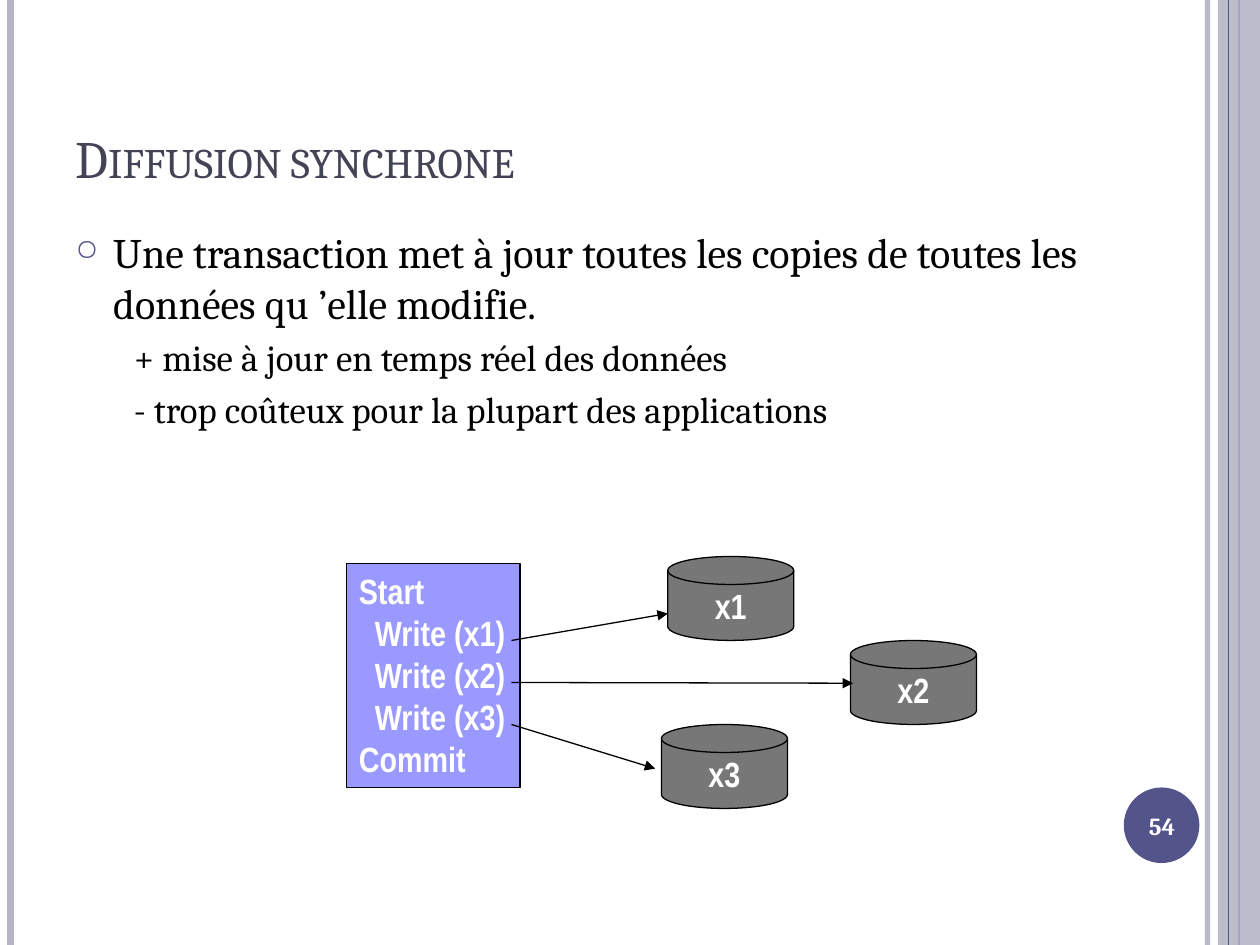
from lxml.etree import SubElement
from pptx import Presentation
from pptx.dml.color import RGBColor
from pptx.enum.shapes import MSO_CONNECTOR, MSO_SHAPE
from pptx.enum.text import MSO_ANCHOR as Anchor, PP_ALIGN as Align
from pptx.oxml.ns import qn
from pptx.util import Pt

THEME = {
    "serif": "Cambria", "sans": "Arial Narrow",
    "title": "424456", "text": "000000", "light": "FFFFFF",
    "accent": "53548A", "band": "B3B4C4", "code": "9999FF", "disk": "777777",
    "title_size": 30, "body_size": 24, "sub_size": 21, "label_size": 20, "number_size": 14,
}

# Content
TITLE = "Diffusion synchrone"
STATEMENT = "Une transaction met à jour toutes les copies de toutes les données qu ’elle modifie."
REMARKS = ["+ mise à jour en temps réel des données",
           "- trop coûteux pour la plupart des applications"]
TRANSACTION = ["Start", "  Write (x1)", "  Write (x2)", "  Write (x3)", "Commit"]
# copy name, disk left, arrow tip (x, y)
COPIES = [("x1", 381.6, (381.6, 350.6)),
          ("x2", 486, (487.4, 390.4)),
          ("x3", 378, (374.4, 439.2))]
PAGE_NUMBER = "54"

# Layout
WIDTH, HEIGHT = 720, 540
DISK_TOP, DISK_SIZE, DISK_STEP = 318, (72, 48), 48
WRITE_X, WRITE_Y, WRITE_STEP = 292.3, 366, 24
# rule x, colour, width, opacity in percent
RULES_BELOW = [(690, "band", 3, 93), (6, "band", 4.5, 100), (708, "accent", 1.5, 100)]
RULES_ABOVE = [(702, "accent", 0.75, 100)]


def colour(key):
    return RGBColor.from_string(THEME[key])


def set_opacity(fill_parent, percent):
    srgb = next(fill_parent.iter(qn("a:srgbClr")))
    SubElement(srgb, qn("a:alpha"), val=str(percent * 1000))


def add_line(slide, start, end, key="text", width=0.75):
    line = slide.shapes.add_connector(MSO_CONNECTOR.STRAIGHT, *map(Pt, start + end))
    line.line.color.rgb = colour(key)
    line.line.width = Pt(width)
    SubElement(line._element.spPr, qn("a:effectLst"))
    return line


def add_rules(slide, rules):
    for x, key, width, opacity in rules:
        rule = add_line(slide, (x, 0), (x, HEIGHT), key, width)
        if opacity < 100:
            set_opacity(rule.line._ln, opacity)


def add_filled(slide, kind, box, key, outlined=False):
    shape = slide.shapes.add_shape(kind, *map(Pt, box))
    shape.shadow.inherit = False
    shape.fill.solid()
    shape.fill.fore_color.rgb = colour(key)
    if outlined:
        shape.line.color.rgb = colour("text")
        shape.line.width = Pt(0.75)
    else:
        shape.line.fill.background()
    return shape


def add_textbox(slide, box, anchor):
    frame = slide.shapes.add_textbox(*map(Pt, box)).text_frame
    frame.word_wrap = True
    frame.vertical_anchor = anchor
    return frame


def write(paragraph, text, size, key, face="serif", bold=False, align=Align.LEFT):
    paragraph.alignment = align
    run = paragraph.add_run()
    run.text = text
    run.font.name = THEME[face]
    run.font.size = Pt(THEME[size])
    run.font.bold = bold
    run.font.color.rgb = colour(key)
    return run


def set_indent(paragraph, left, first):
    props = paragraph._p.get_or_add_pPr()
    props.set("marL", str(Pt(left)))
    props.set("indent", str(Pt(first)))
    return props


def add_bullet(props, char, key, percent):
    bullet_colour = SubElement(props, qn("a:buClr"))
    SubElement(bullet_colour, qn("a:srgbClr"), val=THEME[key])
    SubElement(props, qn("a:buSzPct"), val=str(percent * 1000))
    SubElement(props, qn("a:buChar"), char=char)


def add_frame(slide):
    add_rules(slide, RULES_BELOW)
    band = add_filled(slide, MSO_SHAPE.RECTANGLE, (696, 0, WIDTH - 696, HEIGHT), "band")
    set_opacity(band._element.spPr, 87)
    add_rules(slide, RULES_ABOVE)
    add_filled(slide, MSO_SHAPE.OVAL, (642.2, 450, 43.2, 43.2), "accent")


def add_wording(slide):
    heading = add_textbox(slide, (36, 21.6, 588, 90), Anchor.BOTTOM)
    run = write(heading.paragraphs[0], TITLE, "title_size", "title")
    run.font._element.set("cap", "small")

    body = add_textbox(slide, (36, 126, 588, 384), Anchor.TOP)
    statement = body.paragraphs[0]
    add_bullet(set_indent(statement, 21.6, -21.6), "○", "accent", 70)
    write(statement, STATEMENT, "body_size", "text")
    for text in REMARKS:
        remark = body.add_paragraph()
        set_indent(remark, 50.4, -17)
        remark.space_before = Pt(4.2)
        write(remark, text, "sub_size", "text")


def add_diagram(slide):
    # Transaction code
    code = add_filled(slide, MSO_SHAPE.RECTANGLE, (198, 322, 99.2, 128), "code", True).text_frame
    code.word_wrap = False
    code.vertical_anchor = Anchor.TOP
    for i, text in enumerate(TRANSACTION):
        statement = code.add_paragraph() if i else code.paragraphs[0]
        write(statement, text, "label_size", "light", "sans", True)

    # Copies of the data
    for i, (name, left, _) in enumerate(COPIES):
        box = (left, DISK_TOP + i * DISK_STEP) + DISK_SIZE
        disk = add_filled(slide, MSO_SHAPE.FLOWCHART_MAGNETIC_DISK, box, "disk", True).text_frame
        disk.word_wrap = False
        disk.vertical_anchor = Anchor.MIDDLE
        write(disk.paragraphs[0], name, "label_size", "light", "sans", True, Align.CENTER)

    # Writes
    for i, (_, _, tip) in enumerate(COPIES):
        arrow = add_line(slide, (WRITE_X, WRITE_Y + i * WRITE_STEP), tip)
        SubElement(arrow.line._ln, qn("a:tailEnd"), type="triangle")


def main():
    deck = Presentation()
    deck.slide_width, deck.slide_height = Pt(WIDTH), Pt(HEIGHT)
    slide = deck.slides.add_slide(deck.slide_layouts[6])
    add_frame(slide)
    add_wording(slide)
    add_diagram(slide)
    number = add_textbox(slide, (640, 451.4, 48, 41), Anchor.MIDDLE)
    write(number.paragraphs[0], PAGE_NUMBER, "number_size", "light", bold=True, align=Align.CENTER)
    deck.save("out.pptx")


if __name__ == "__main__":
    main()
